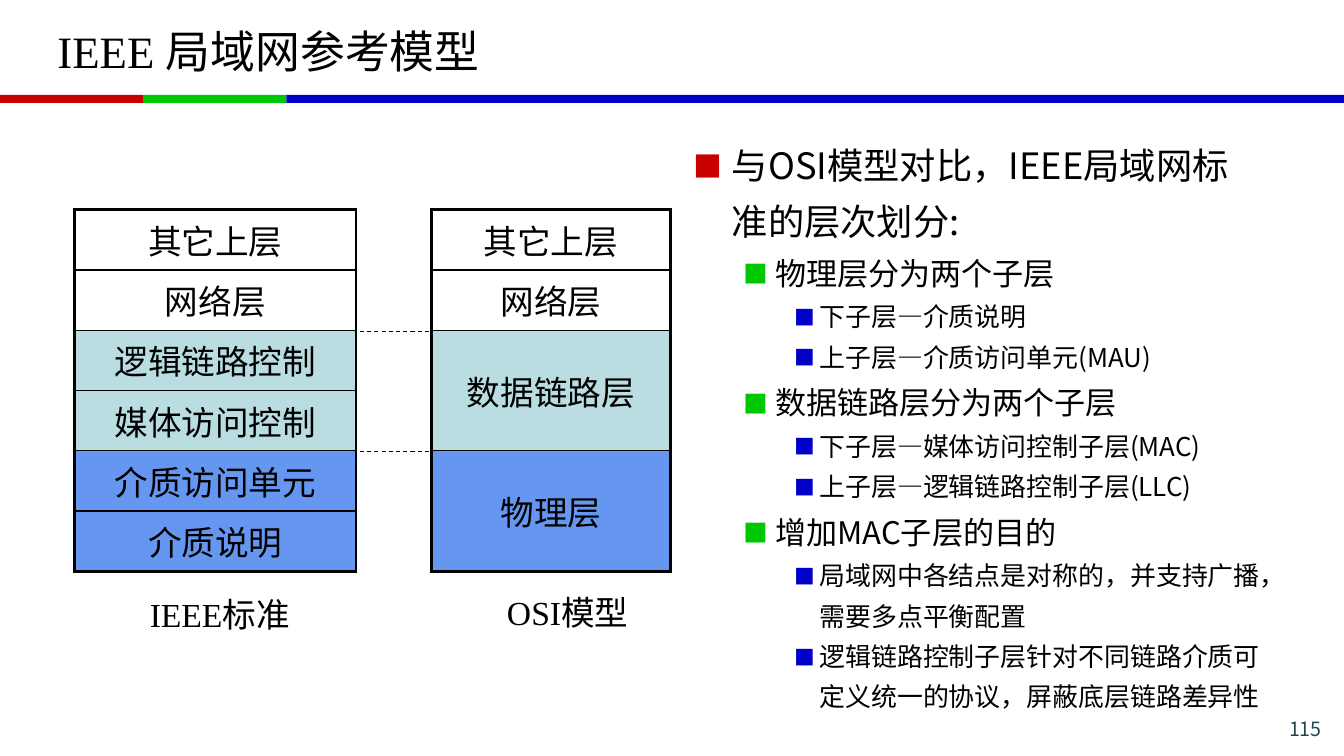
from lxml import etree
from pptx import Presentation
from pptx.dml.color import RGBColor
from pptx.enum.dml import MSO_LINE
from pptx.enum.shapes import MSO_CONNECTOR, MSO_SHAPE
from pptx.enum.text import MSO_ANCHOR, MSO_AUTO_SIZE, PP_ALIGN
from pptx.oxml.ns import qn
from pptx.util import Inches, Pt

STRAIGHT = MSO_CONNECTOR.STRAIGHT
RECTANGLE = MSO_SHAPE.RECTANGLE
DASH = MSO_LINE.DASH
MIDDLE = MSO_ANCHOR.MIDDLE
NO_AUTOFIT = MSO_AUTO_SIZE.NONE
LEFT, CENTER, RIGHT = PP_ALIGN.LEFT, PP_ALIGN.CENTER, PP_ALIGN.RIGHT

BLACK = RGBColor(0x00, 0x00, 0x00)
RED = RGBColor(0xC8, 0x00, 0x00)
GREEN = RGBColor(0x00, 0xC8, 0x00)
BLUE = RGBColor(0x00, 0x00, 0xC8)
DARK_TEAL = RGBColor(0x1E, 0x46, 0x49)
LINK_TEAL = RGBColor(0xBA, 0xDD, 0xE1)
PHYSICAL_BLUE = RGBColor(0x66, 0x97, 0xF0)

SANS = "Noto Sans CJK SC"
SERIF = "Times New Roman"
ROW_HEIGHT = 3.59 / 6

IEEE_LAYERS = [
    ("其它上层", 1, None),
    ("网络层", 1, None),
    ("逻辑链路控制", 1, LINK_TEAL),
    ("媒体访问控制", 1, LINK_TEAL),
    ("介质访问单元", 1, PHYSICAL_BLUE),
    ("介质说明", 1, PHYSICAL_BLUE),
]
OSI_LAYERS = [
    ("其它上层", 1, None),
    ("网络层", 1, None),
    ("数据链路层", 2, LINK_TEAL),
    ("物理层", 2, PHYSICAL_BLUE),
]
OUTLINE = [
    (0, "与OSI模型对比，IEEE局域网标准的层次划分:"),
    (1, "物理层分为两个子层"),
    (2, "下子层—介质说明"),
    (2, "上子层—介质访问单元(MAU)"),
    (1, "数据链路层分为两个子层"),
    (2, "下子层—媒体访问控制子层(MAC)"),
    (2, "上子层—逻辑链路控制子层(LLC)"),
    (1, "增加MAC子层的目的"),
    (2, "局域网中各结点是对称的，并支持广播，需要多点平衡配置"),
    (2, "逻辑链路控制子层针对不同链路介质可定义统一的协议，屏蔽底层链路差异性"),
]
OUTLINE_LEVELS = [
    {"size": 25.9, "margin": 0.38, "hanging": 0.38, "color": RED},
    {"size": 22.2, "margin": 0.81, "hanging": 0.31, "color": GREEN},
    {"size": 18.5, "margin": 1.25, "hanging": 0.25, "color": BLUE},
]


def write(para, text, size, name, color=BLACK, align=LEFT):
    para.alignment = align
    span = para.add_run()
    span.text = text
    formats = {"size": Pt(size), "name": name, "bold": False}
    for key, value in formats.items():
        setattr(span.font, key, value)
    span.font.color.rgb = color
    east_asian = etree.SubElement(span.font._element, qn("a:ea"))
    east_asian.set("typeface", SANS)


def add_label(page, box, text, size, name, color=BLACK, align=CENTER, inset=0):
    frame = page.shapes.add_textbox(*map(Inches, box)).text_frame
    frame.word_wrap = True
    for side in ("left", "top", "right", "bottom"):
        setattr(frame, f"margin_{side}", Inches(inset))
    write(frame.paragraphs[0], text, size, name, color, align)


def add_title(page, box, text):
    title = page.shapes.title
    for key, value in zip(("left", "top", "width", "height"), box):
        setattr(title, key, Inches(value))
    frame = title.text_frame
    frame.auto_size = NO_AUTOFIT
    frame.vertical_anchor = MIDDLE
    write(frame.paragraphs[0], text, 32, SERIF)


def add_color_rule(page, box):
    left, top, width, height = box
    short = 1.42
    for color, length in ((RED, short), (GREEN, short), (BLUE, width - 2 * short)):
        bar = page.shapes.add_shape(
            RECTANGLE, Inches(left), Inches(top), Inches(length), Inches(height)
        )
        bar.shadow.inherit = False
        bar.fill.solid()
        bar.fill.fore_color.rgb = color
        bar.line.fill.background()
        left += length


def set_borders(cell, widths):
    properties = cell._tc.get_or_add_tcPr()
    for index, (tag, width) in enumerate(widths.items()):
        line = etree.Element(qn(f"a:{tag}"), w=str(Pt(width)))
        fill = etree.SubElement(line, qn("a:solidFill"))
        etree.SubElement(fill, qn("a:srgbClr"), val=str(BLACK))
        properties.insert(index, line)


def add_layer_stack(page, box, layers):
    frame = page.shapes.add_table(len(layers), 1, *map(Inches, box))
    table = frame.table
    table.first_row = False
    table.horz_banding = False
    for index, (text, span, color) in enumerate(layers):
        table.rows[index].height = Inches(span * ROW_HEIGHT)
        cell = table.cell(index, 0)
        cell.vertical_anchor = MIDDLE
        write(cell.text_frame.paragraphs[0], text, 24, SERIF, align=CENTER)
        if color is None:
            cell.fill.background()
        else:
            cell.fill.solid()
            cell.fill.fore_color.rgb = color
        set_borders(cell, {
            "lnL": 2.25,
            "lnR": 2.25,
            "lnT": 2.25 if index == 0 else 1,
            "lnB": 2.25 if index == len(layers) - 1 else 1,
        })


def add_dashed_link(page, left, right, y):
    link = page.shapes.add_connector(
        STRAIGHT, Inches(left), Inches(y), Inches(right), Inches(y)
    )
    link.line.color.rgb = BLACK
    link.line.width = Pt(0.75)
    link.line.dash_style = DASH
    etree.SubElement(link._element.spPr, qn("a:effectLst"))


def add_model_comparison(page, box):
    left, top, width, height = box
    ieee_width, osi_width = 2.79, 2.37
    osi_left = left + width - osi_width
    add_layer_stack(page, (left, top, ieee_width, height), IEEE_LAYERS)
    add_layer_stack(page, (osi_left, top, osi_width, height), OSI_LAYERS)
    for row in (2, 4):
        add_dashed_link(page, left + 2.83, osi_left, top + row * ROW_HEIGHT + 0.01)
    label_top = top + height + 0.2
    add_label(page, (left + 0.61, label_top + 0.02, 1.66, 0.4), "IEEE标准", 24, SERIF)
    add_label(page, (osi_left + 0.74, label_top, 1.22, 0.4), "OSI模型", 24, SERIF)


def add_bullet(para, level):
    properties = para._p.get_or_add_pPr()
    properties.set("marL", str(Inches(level["margin"])))
    properties.set("indent", str(-Inches(level["hanging"])))
    color = etree.SubElement(properties, qn("a:buClr"))
    etree.SubElement(color, qn("a:srgbClr"), val=str(level["color"]))
    etree.SubElement(properties, qn("a:buSzPct"), val="80000")
    etree.SubElement(properties, qn("a:buFont"), typeface=SANS)
    etree.SubElement(properties, qn("a:buChar"), char="■")


def add_outline(page, box):
    frame = page.shapes.add_textbox(*map(Inches, box)).text_frame
    frame.word_wrap = True
    for index, (depth, text) in enumerate(OUTLINE):
        para = frame.add_paragraph() if index else frame.paragraphs[0]
        level = OUTLINE_LEVELS[depth]
        para.level = depth
        add_bullet(para, level)
        para.line_spacing = 1.3
        write(para, text, level["size"], SANS)


def main():
    deck = Presentation()
    deck.slide_width, deck.slide_height = Inches(13.33), Inches(7.5)
    page = deck.slides.add_slide(deck.slide_layouts[5])
    add_color_rule(page, (0, 0.94, 13.33, 0.08))
    add_title(page, (0.47, 0.08, 12.39, 0.84), "IEEE 局域网参考模型")
    add_outline(page, (6.78, 1.24, 5.82, 6.07))
    add_model_comparison(page, (0.74, 2.08, 5.91, 3.59))
    add_label(page, (11.86, 7.06, 1.3, 0.28), "115", 14, SANS, DARK_TEAL, RIGHT, 0.05)
    deck.save("out.pptx")


if __name__ == "__main__":
    main()
